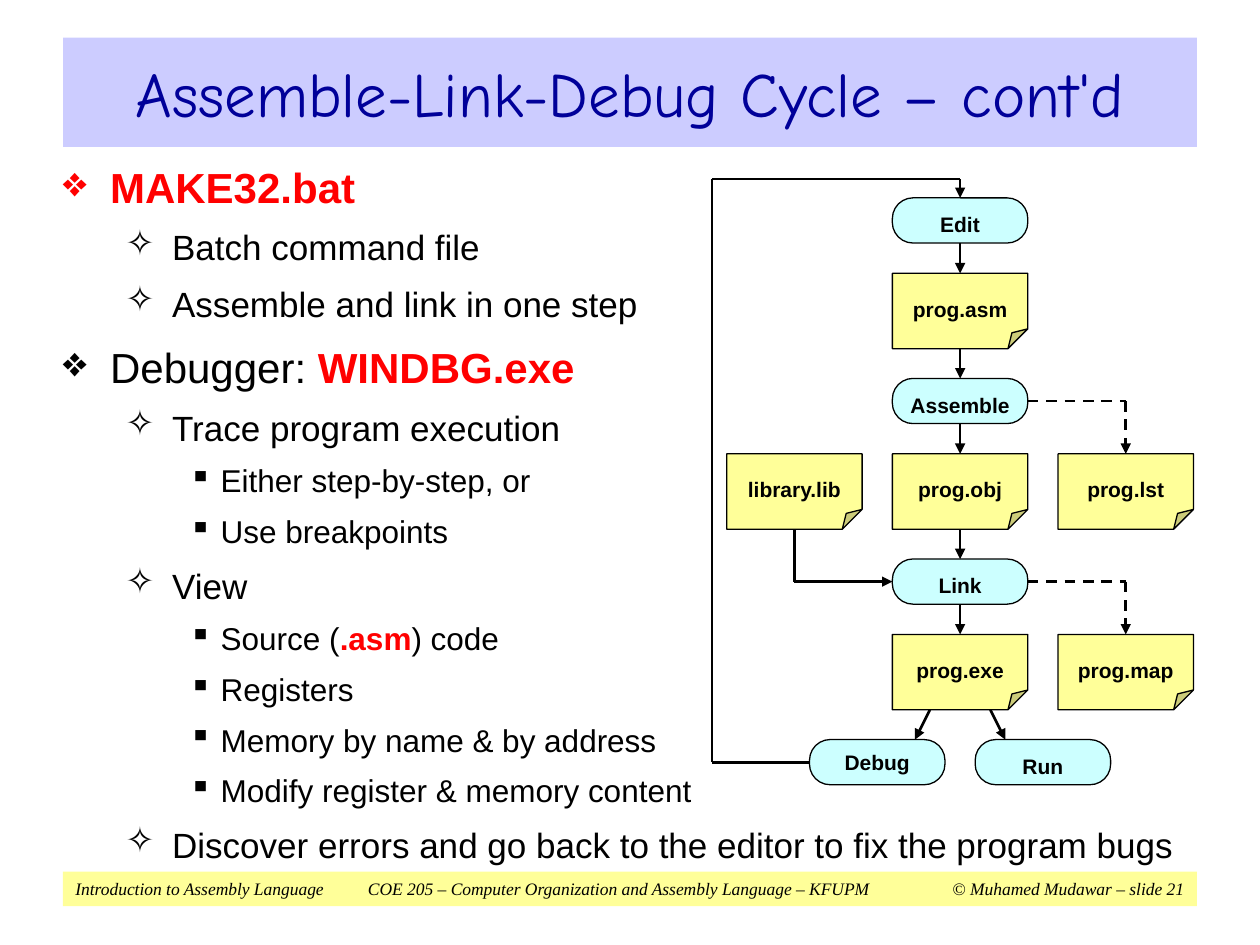
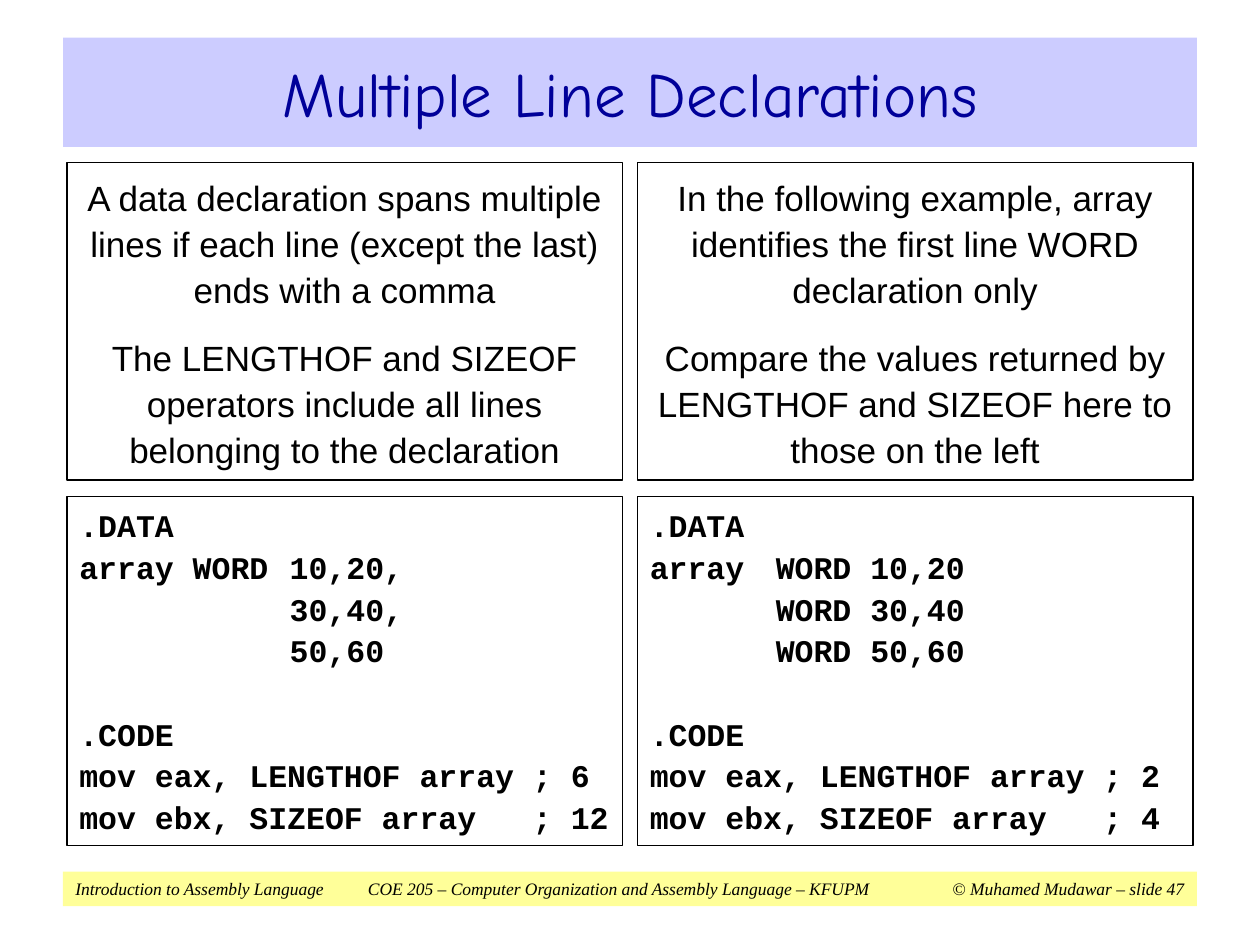
from itertools import pairwise

from lxml import etree
from pptx import Presentation
from pptx.dml.color import RGBColor
from pptx.enum.dml import MSO_LINE_DASH_STYLE as Dash
from pptx.enum.shapes import MSO_CONNECTOR as Link, MSO_SHAPE as Kind
from pptx.enum.text import MSO_ANCHOR as Anchor, PP_ALIGN as Align
from pptx.oxml.ns import qn
from pptx.util import Cm, Pt

BLACK = RGBColor(0x00, 0x00, 0x00)
WHITE = RGBColor(0xFF, 0xFF, 0xFF)
RED = RGBColor(0xFF, 0x00, 0x00)
NAVY = RGBColor(0x00, 0x00, 0x99)
LILAC = RGBColor(0xCC, 0xCC, 0xFF)
YELLOW = RGBColor(0xFF, 0xFF, 0x99)
CYAN = RGBColor(0xCC, 0xFF, 0xFF)

TITLE = dict(name="Comic Neue", size=Pt(36), color=NAVY, bold=False)
FOOT = dict(name="Times New Roman", size=Pt(10), color=BLACK, italic=True)
PLAIN = dict(name="Arial", size=Pt(20), color=BLACK)
LABEL = dict(name="Arial", size=Pt(12), color=BLACK, bold=True)
CODE = dict(name="Courier New", size=Pt(18), color=BLACK, bold=True)

TITLE_BOX = (1.27, 0.76, 22.86, 2.2)
FOOT_BOX = (1.27, 17.57, 22.86, 0.7)
BODY_BOX = (1.27, 3.12, 22.78, 14.4)
FLOW_BOX = (14.35, 3.61, 9.7, 12.2)
GRID_BOX = (1.35, 3.28, 22.7, 13.77)

# Per level: bullet, text size, left edge, hanging indent, space before
LEVELS = [
    ("❖", 24, 0.95, 0.95, 9.9),
    ("✧", 20, 2.2, 0.94, 8.2),
    ("▪", 18, 3.18, 0.64, 7.4),
]

OUTLINE = [
    (0, "*MAKE32.bat*"),
    (1, "Batch command file"),
    (1, "Assemble and link in one step"),
    (0, "Debugger: *WINDBG.exe*"),
    (1, "Trace program execution"),
    (2, "Either step-by-step, or"),
    (2, "Use breakpoints"),
    (1, "View"),
    (2, "Source (*.asm*) code"),
    (2, "Registers"),
    (2, "Memory by name & by address"),
    (2, "Modify register & memory content"),
    (1, "Discover errors and go back to the editor to fix the program bugs"),
]

# Per column: notes, code lines, tab stops
COLUMNS = [
    (
        ["A data declaration spans multiple lines if each line "
         "(except the last) ends with a comma",
         "The LENGTHOF and SIZEOF operators include all lines "
         "belonging to the declaration"],
        [".DATA", "array WORD\t10,20,", "\t\t30,40,", "\t\t50,60", ".CODE",
         "mov eax, LENGTHOF array ; 6", "mov ebx, SIZEOF array   ; 12"],
        [(1.27, "l"), (4.24, "l")],
    ),
    (
        ["In the following example, array identifies the first line "
         "WORD declaration only",
         "Compare the values returned by LENGTHOF and SIZEOF here to "
         "those on the left"],
        [".DATA", "array\tWORD 10,20", "\tWORD 30,40", "\tWORD 50,60",
         ".CODE", "mov eax, LENGTHOF array ; 2",
         "mov ebx, SIZEOF array   ; 4"],
        [(2.54, "l")],
    ),
]


def style(font, fmt):
    for key, val in fmt.items():
        if key == "color":
            font.color.rgb = val
        else:
            setattr(font, key, val)


def write(para, text, fmt):
    run = para.add_run()
    run.text = text
    style(run.font, fmt)


def put(holder, **attrs):
    for key, val in attrs.items():
        setattr(holder, key, val)


def pad(frame, left=0, top=0, right=0, bottom=0):
    put(frame, margin_left=Cm(left), margin_top=Cm(top),
        margin_right=Cm(right), margin_bottom=Cm(bottom))


def paras(frame, texts):
    """Yield each text with its paragraph, and whether it is the first."""
    for num, text in enumerate(texts):
        para = frame.add_paragraph() if num else frame.paragraphs[0]
        yield para, text, num == 0


def add_tabs(para, stops):
    tabs = etree.SubElement(para._p.get_or_add_pPr(), qn("a:tabLst"))
    for pos, side in stops:
        etree.SubElement(tabs, qn("a:tab"), pos=str(Cm(pos)), algn=side)


def add_mark(para, mark, color, left, hang):
    props = para._p.get_or_add_pPr()
    props.set("marL", str(Cm(left)))
    props.set("indent", str(-Cm(hang)))
    tint = etree.SubElement(props, qn("a:buClr"))
    etree.SubElement(tint, qn("a:srgbClr"), val=str(color))
    etree.SubElement(props, qn("a:buChar"), char=mark)


def add_box(slide, kind, box, fill=None, edge=True):
    shape = slide.shapes.add_shape(kind, *map(Cm, box))
    shape.shadow.inherit = False
    if fill is None:
        shape.fill.background()
    else:
        shape.fill.solid()
        shape.fill.fore_color.rgb = fill
    if edge:
        shape.line.color.rgb = BLACK
        shape.line.width = Pt(0.75)
    else:
        shape.line.fill.background()
    return shape


def bend(shape, adj):
    """Set the corner size, which not every preset lists as adjustable."""
    guides = shape._element.spPr.find(qn("a:prstGeom")).get_or_add_avLst()
    for guide in list(guides):
        guides.remove(guide)
    etree.SubElement(guides, qn("a:gd"), name="adj",
                     fmla=f"val {round(adj * 100000)}")


def add_path(slide, points, dash=False, head=True):
    """Join the points with straight lines, with an arrowhead at the end."""
    for start, end in pairwise(points):
        line = slide.shapes.add_connector(Link.STRAIGHT, *map(Cm, start + end))
        line.line.color.rgb = BLACK
        line.line.width = Pt(1.5)
        if dash:
            line.line.dash_style = Dash.DASH
        etree.SubElement(line._element.spPr, qn("a:effectLst"))
    if head:
        etree.SubElement(line._element.spPr.find(qn("a:ln")),
                         qn("a:tailEnd"), type="triangle")


def add_page(deck, title, num):
    """Add a slide with its title band and footer."""
    slide = deck.slides.add_slide(deck.slide_layouts[5])
    band = slide.shapes.title
    left, top, width, height = map(Cm, TITLE_BOX)
    put(band, left=left, top=top, width=width, height=height)
    band.fill.solid()
    band.fill.fore_color.rgb = LILAC
    band.text_frame.vertical_anchor = Anchor.MIDDLE
    para = band.text_frame.paragraphs[0]
    para.alignment = Align.CENTER
    write(para, title, TITLE)

    foot = add_box(slide, Kind.RECTANGLE, FOOT_BOX, YELLOW, edge=False)
    frame = foot.text_frame
    pad(frame, 0.25, 0.13, 0.25, 0.13)
    put(frame, vertical_anchor=Anchor.TOP, word_wrap=True)
    para = frame.paragraphs[0]
    add_tabs(para, [(10.95, "ctr"), (22.35, "r")])
    para.alignment = Align.LEFT
    write(para, "Introduction to Assembly Language\tCOE 205 – Computer "
          "Organization and Assembly Language – KFUPM\t"
          f"© Muhamed Mudawar – slide {num}", FOOT)
    return slide


def add_outline(slide, box):
    """Write the bullets; text between asterisks is bold red."""
    frame = slide.shapes.add_textbox(*map(Cm, box)).text_frame
    frame.word_wrap = True
    pad(frame, top=0.13, bottom=0.13)
    for para, (level, text), first in paras(frame, OUTLINE):
        mark, size, left, hang, gap = LEVELS[level]
        para.level = level
        add_mark(para, mark, RED if text[0] == "*" else BLACK, left, hang)
        if not first:
            para.space_before = Pt(gap)
        for num, part in enumerate(text.split("*")):
            if part:
                hot = num % 2 == 1
                write(para, part, PLAIN | dict(
                    size=Pt(size), bold=hot, color=RED if hot else BLACK))


def add_flow(slide, box):
    """Draw the build cycle: three stages of a step and its file."""
    left, top = box[:2]
    wide, step_h, file_h = 2.73, 0.91, 1.52
    col, row, drop = 3.34, 3.64, 1.52

    def edge(num):
        return left + 0.3 + col * num

    def mid(num):
        return edge(num) + wide / 2

    def rise(num):
        return top + 0.38 + row * num

    def node(kind, text, x, y, high, fill, adj, inset):
        shape = add_box(slide, kind, (x, y, wide, high), fill)
        bend(shape, adj)
        frame = shape.text_frame
        pad(frame, top=inset)
        put(frame, vertical_anchor=Anchor.MIDDLE, word_wrap=False)
        para = frame.paragraphs[0]
        para.alignment = Align.CENTER
        write(para, text, LABEL)

    def step(text, x, y, inset=0.16):
        node(Kind.ROUNDED_RECTANGLE, text, x, y, step_h, CYAN, 0.457, inset)

    def sheet(text, x, y):
        node(Kind.FOLDED_CORNER, text, x, y, file_h, YELLOW, 0.263, 0.32)

    stages = [("Edit", "prog.asm", None), ("Assemble", "prog.obj", "prog.lst"),
              ("Link", "prog.exe", "prog.map")]
    for num, (name, file, side) in enumerate(stages):
        y = rise(num)
        step(name, edge(1), y)
        sheet(file, edge(1), y + drop)
        add_path(slide, [(mid(1), y + step_h), (mid(1), y + drop)])
        if num:
            add_path(slide, [(mid(1), y - row + drop + file_h), (mid(1), y)])
        if side:
            sheet(side, edge(2), y + drop)
            level = y + step_h / 2
            add_path(slide, [(edge(1) + wide, level), (mid(2), level),
                             (mid(2), y + drop)], dash=True)

    sheet("library.lib", edge(0), rise(1) + drop)
    level = rise(2) + step_h / 2
    add_path(slide, [(mid(0), rise(1) + drop + file_h), (mid(0), level),
                     (edge(1), level)])

    last = rise(3)
    step("Debug", edge(0.5), last, 0)
    step("Run", edge(1.5), last)
    for sign in (-1, 1):
        add_path(slide, [(mid(1) + sign * 0.61, last - row + drop + file_h),
                         (mid(1) + sign * 0.91, last)])
    level = last + step_h / 2
    add_path(slide, [(edge(0.5), level), (left, level), (left, top),
                     (mid(1), top), (mid(1), rise(0))])


def add_panel(slide, box, fill=None):
    frame = add_box(slide, Kind.RECTANGLE, box, fill).text_frame
    pad(frame, left=0.25, right=0.25)
    put(frame, vertical_anchor=Anchor.MIDDLE, word_wrap=True)
    return frame


def add_grid(slide, box):
    """Set notes above code, one column for each way to declare."""
    left, top, width, height = box
    gap, note_h = 0.3, 6.4
    wide = (width - gap) / 2
    code_y = top + note_h + 0.33
    for num, (notes, code, stops) in enumerate(COLUMNS):
        x = left + num * (wide + gap)
        frame = add_panel(slide, (x, top, wide, note_h))
        for para, text, first in paras(frame, notes):
            put(para, alignment=Align.CENTER, line_spacing=1.1)
            if not first:
                para.space_before = Pt(12.5)
            write(para, text, PLAIN)

        frame = add_panel(slide, (x, code_y, wide, top + height - code_y),
                          WHITE)
        for para, text, first in paras(frame, code):
            add_tabs(para, stops)
            para.alignment = Align.LEFT
            if not first:
                para.space_before = Pt(26 if text == ".CODE" else 2.2)
            write(para, text, CODE)


def main():
    deck = Presentation()
    put(deck, slide_width=Cm(25.4), slide_height=Cm(19.05))
    cycle = add_page(deck, "Assemble-Link-Debug Cycle – cont'd", 21)
    add_outline(cycle, BODY_BOX)
    add_flow(cycle, FLOW_BOX)
    lines = add_page(deck, "Multiple Line Declarations", 47)
    add_grid(lines, GRID_BOX)
    deck.save("out.pptx")


if __name__ == "__main__":
    main()
